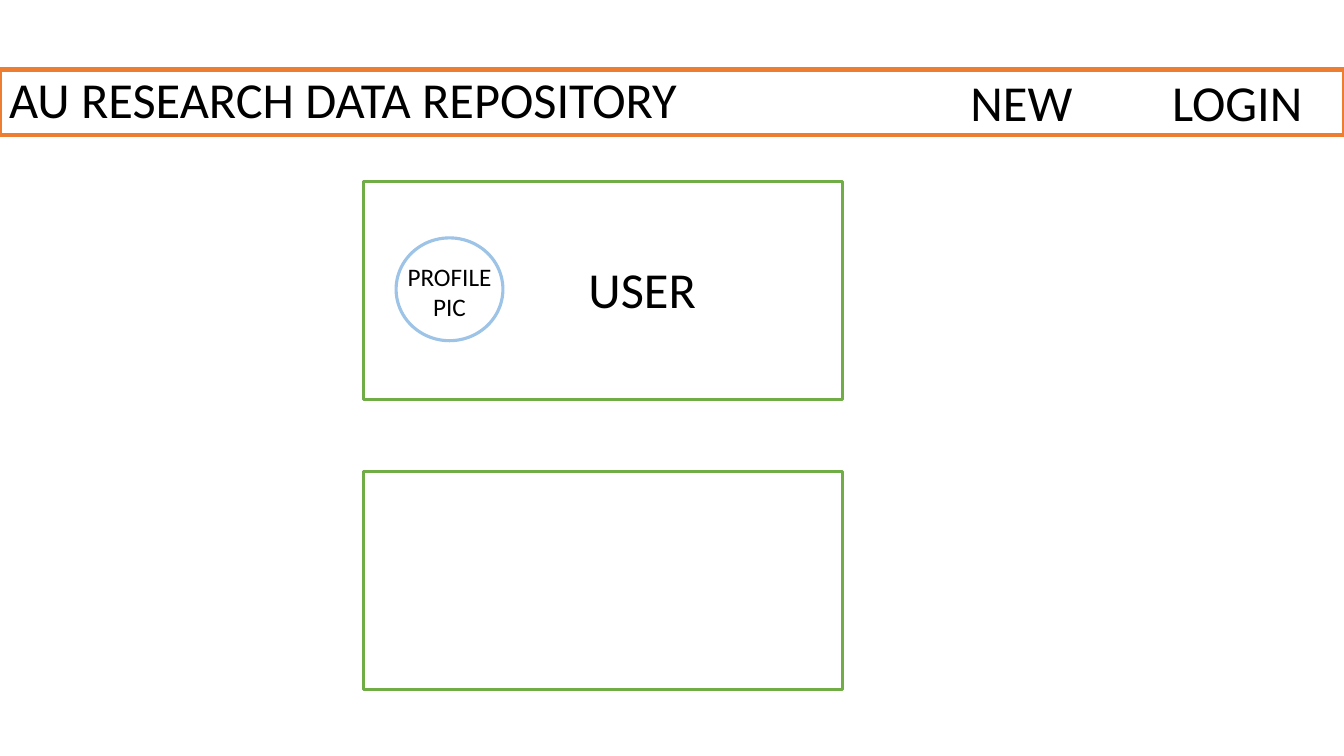
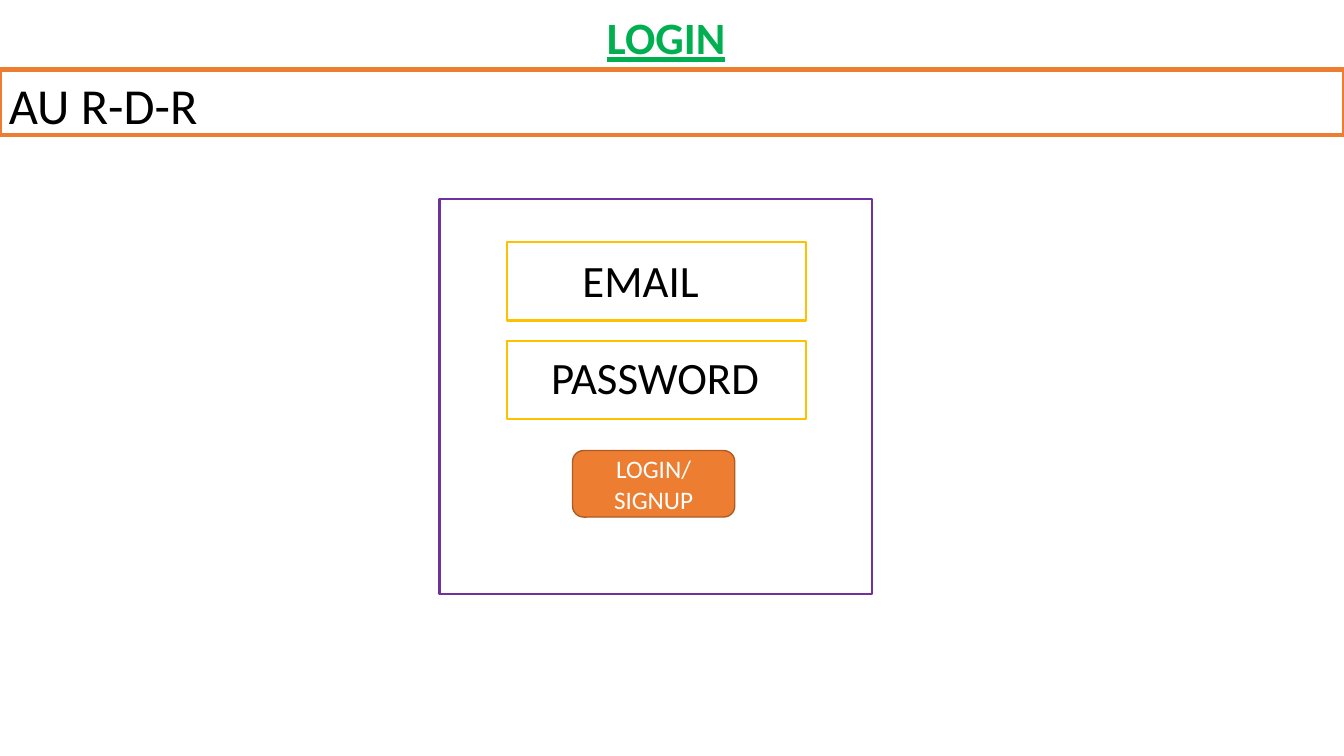
from lxml import etree
from pptx import Presentation
from pptx.dml.color import RGBColor
from pptx.enum.shapes import MSO_SHAPE
from pptx.enum.text import MSO_ANCHOR, MSO_AUTO_SIZE, PP_ALIGN
from pptx.oxml.ns import qn
from pptx.util import Inches, Pt

RECTANGLE = MSO_SHAPE.RECTANGLE
ROUNDED = MSO_SHAPE.ROUNDED_RECTANGLE
CIRCLE = MSO_SHAPE.FLOWCHART_CONNECTOR
LEFT, CENTER = PP_ALIGN.LEFT, PP_ALIGN.CENTER
TOP, MIDDLE = MSO_ANCHOR.TOP, MSO_ANCHOR.MIDDLE
FIT_SHAPE = MSO_AUTO_SIZE.SHAPE_TO_FIT_TEXT

# Grid: 40 columns by 22.5 rows of square cells
COLUMNS, ROWS = 40, 22.5
CELL = Inches(1) / 3
TITLE_ONLY = 5

FONT = "Calibri"
WHITE, BLACK = "FFFFFF", "000000"
ORANGE, RUST = "ED7D31", "AF5C24"
GREEN, LIME, BLUE = "00B050", "70AD47", "9DC3E6"
PURPLE, GOLD = "7030A0", "FFC000"
LARGE, MEDIUM, SMALL = 36, 32, 18


def color(hex_string):
    return RGBColor.from_string(hex_string)


def cells(*values):
    return [round(value * CELL) for value in values]


class Wireframe:
    """Holds the presentation, its style and the current slide."""

    def __init__(self):
        self.presentation = Presentation()
        self.presentation.slide_width, self.presentation.slide_height = cells(COLUMNS, ROWS)
        self.slide = None

    def add_page(self):
        layout = self.presentation.slide_layouts[TITLE_ONLY]
        self.slide = self.presentation.slides.add_slide(layout)
        self.box(0, 2.07, COLUMNS, 1.95, ORANGE, 3)

    def box(self, left, top, width, height, line, weight, fill=WHITE, kind=RECTANGLE):
        shape = self.slide.shapes.add_shape(kind, *cells(left, top, width, height))
        shape.shadow.inherit = False
        shape.fill.solid()
        shape.fill.fore_color.rgb = color(fill)
        shape.line.color.rgb = color(line)
        shape.line.width = Pt(weight)
        return shape

    def set_text(self, shape, text, size, ink=BLACK, align=LEFT, anchor=TOP, emphasis=False):
        frame = shape.text_frame
        frame.text = text
        frame.word_wrap = True
        frame.vertical_anchor = anchor
        paragraph = frame.paragraphs[0]
        paragraph.alignment = align
        paragraph.line_spacing = 1.0
        for run in paragraph.runs:
            run.font.name = FONT
            run.font.size = Pt(size)
            run.font.color.rgb = color(ink)
            run.font.bold = run.font.underline = emphasis
        return paragraph

    def label(self, left, top, width, height, text, size, align=LEFT):
        shape = self.slide.shapes.add_textbox(*cells(left, top, width, height))
        shape.text_frame.auto_size = FIT_SHAPE
        return self.set_text(shape, text, size, align=align)

    def title(self, left, top, width, height, text, size, ink=BLACK, emphasis=False):
        shape = self.slide.shapes.title
        shape.left, shape.top, shape.width, shape.height = cells(left, top, width, height)
        shape.text_frame.auto_size = FIT_SHAPE
        self.set_text(shape, text, size, ink, emphasis=emphasis)
        # Bring the title in front of the header band
        shape.element.getparent().append(shape.element)

    def tab_stop(self, paragraph, position):
        properties = paragraph._p.get_or_add_pPr()
        tabs = etree.SubElement(properties, qn("a:tabLst"))
        etree.SubElement(tabs, qn("a:tab"), pos=str(cells(position)[0]), algn="l")


wireframe = Wireframe()

# Home page: header with navigation
wireframe.add_page()
wireframe.title(-0.03, 1.89, 23.34, 2.13, "AU RESEARCH DATA REPOSITORY", LARGE)
navigation = wireframe.label(28.59, 1.98, 11.19, 2.13, "NEW\tLOGIN", LARGE)
wireframe.tab_stop(navigation, 6)

# Home page: two cards, the first with a user profile
for card_top in (5.4, 14.04):
    wireframe.box(10.83, card_top, 14.25, 6.48, LIME, 2.25)
wireframe.box(11.79, 7.08, 3.18, 3.06, BLUE, 2.25, kind=CIRCLE)
wireframe.label(17.22, 7.53, 7.2, 2.13, "USER", LARGE)
wireframe.label(11.79, 7.62, 3.18, 2.13, "PROFILE PIC", SMALL, CENTER)

# Login page: title and short header
wireframe.add_page()
wireframe.title(17.76, 0.15, 4.5, 1.92, "LOGIN", MEDIUM, GREEN, emphasis=True)
wireframe.label(-0.03, 2.07, 7.71, 2.13, "AU R-D-R", LARGE)

# Login page: form panel, fields and button
wireframe.box(13.08, 5.91, 12.87, 11.76, PURPLE, 1.5)
FIELDS = [("EMAIL", 17.04, 7.38, 5.43), ("PASSWORD", 16.11, 10.26, 6.87)]
for row, (name, left, top, width) in enumerate(FIELDS):
    wireframe.box(15.09, 7.2 + 2.94 * row, 8.91, 2.34, GOLD, 1.5)
    wireframe.label(left, top, width, 1.92, name, MEDIUM)
button = wireframe.box(17.04, 13.41, 4.83, 1.98, RUST, 1, ORANGE, ROUNDED)
wireframe.set_text(button, "LOGIN/SIGNUP", SMALL, WHITE, CENTER, MIDDLE)

wireframe.presentation.save("out.pptx")
